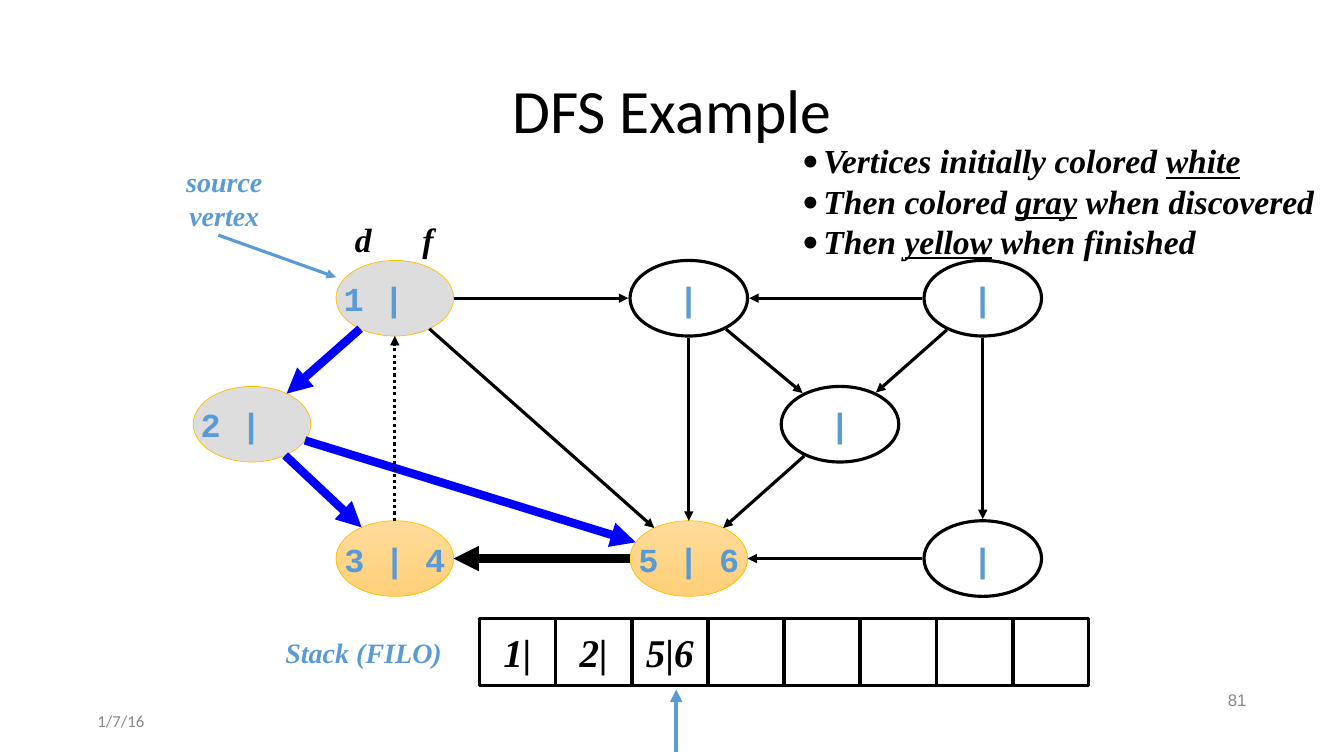
from dataclasses import dataclass
from math import hypot

from lxml.etree import SubElement
from pptx import Presentation
from pptx.dml.color import RGBColor
from pptx.enum.dml import MSO_LINE
from pptx.enum.shapes import MSO_CONNECTOR, MSO_SHAPE
from pptx.enum.text import MSO_ANCHOR, MSO_AUTO_SIZE, PP_ALIGN
from pptx.oxml.ns import qn
from pptx.util import Inches, Pt

COLORS = {
    "black": "000000", "accent": "5B9BD5", "tree": "0000FF", "muted": "888888",
    "gray": "DDDDDD", "gold": "FFC000", "top": "FFDB9B", "bottom": "FFD078",
}
SERIF, MONO, SANS = "Times New Roman", "Courier New", "Calibri"

# Grid of 160 columns by 90 rows, twelve to the inch
COLS, ROWS = 160, 90
CELL = Inches(1) / 12
VERTEX_W, VERTEX_H = 14, 9


def grid(*units: float) -> list[int]:
    return [round(u * CELL) for u in units]


def rgb(name: str) -> RGBColor:
    return RGBColor.from_string(COLORS[name])


@dataclass
class Vertex:
    col: float
    row: float
    times: str = "|"
    state: str = "white"

    @property
    def center(self) -> tuple[float, float]:
        return self.col + VERTEX_W / 2, self.row + VERTEX_H / 2


@dataclass
class Edge:
    start: str
    end: str
    color: str = "black"
    width: float = 2.25
    dotted: bool = False


@dataclass
class Label:
    text: str
    box: tuple[float, float, float, float]
    size: float
    color: str
    font: str = SERIF
    bold: bool = True
    align: PP_ALIGN = PP_ALIGN.CENTER
    anchor: MSO_ANCHOR = MSO_ANCHOR.MIDDLE


VERTICES = {
    "source": Vertex(40, 31, "1 |", "gray"),
    "top": Vertex(75, 31),
    "top right": Vertex(110, 31),
    "left": Vertex(23, 46, "2 |", "gray"),
    "middle": Vertex(93, 46),
    "bottom left": Vertex(40, 62, "3 | 4", "yellow"),
    "bottom": Vertex(75, 62, "5 | 6", "yellow"),
    "bottom right": Vertex(110, 62),
}
EDGES = [
    Edge("source", "left", "tree", 6),
    Edge("left", "bottom left", "tree", 6),
    Edge("left", "bottom", "tree", 6),
    Edge("bottom", "bottom left", width=6),
    Edge("bottom left", "source", dotted=True),
    Edge("source", "bottom"),
    Edge("top", "bottom"),
    Edge("source", "top"),
    Edge("top right", "top"),
    Edge("top", "middle"),
    Edge("top right", "middle"),
    Edge("top right", "bottom right"),
    Edge("bottom right", "bottom"),
    Edge("middle", "bottom"),
]
LABELS = [
    Label("source\nvertex", (21.5, 19, 10.4, 8.8), 20, "accent", anchor=MSO_ANCHOR.TOP),
    Label("d\tf", (41.64, 25.7, 12, 5.5), 24, "black", align=PP_ALIGN.LEFT),
    Label("Stack (FILO)", (33.1, 75.1, 20.4, 4.9), 20, "accent", anchor=MSO_ANCHOR.TOP),
    Label("81", (113, 81.6, 36, 3.5), 12, "muted", "Arial", False, PP_ALIGN.RIGHT),
    Label("1/7/16", (11, 84, 36, 3.5), 12, "muted", SANS, False, PP_ALIGN.LEFT),
]
STACK = ["1|", "2|", "5|6", "", "", "", "", ""]
STACK_COL, STACK_ROW, STACK_STEP = 57.1, 73.6, 9.07
BULLETS = [
    ("Vertices initially colored ", "white", ""),
    ("Then colored ", "gray", " when discovered"),
    ("Then ", "yellow", " when finished"),
]


def style_frame(tf, anchor: MSO_ANCHOR = MSO_ANCHOR.MIDDLE, wrap: bool = True) -> None:
    tf.word_wrap, tf.auto_size, tf.vertical_anchor = wrap, MSO_AUTO_SIZE.NONE, anchor
    tf.margin_left = tf.margin_right = tf.margin_top = tf.margin_bottom = Inches(0.05)


def style_runs(p, size: float, color: str, font: str, bold: bool, italic: bool) -> None:
    for r in p.runs:
        r.font.size, r.font.name = Pt(size), font
        r.font.bold, r.font.italic = bold, italic
        r.font.color.rgb = rgb(color)


def write(shape, label: Label) -> None:
    style_frame(shape.text_frame, label.anchor)
    p = shape.text_frame.paragraphs[0]
    p.text, p.alignment = label.text.replace("\n", "\v"), label.align
    style_runs(p, label.size, label.color, label.font, label.bold, label.bold and label.font == SERIF)
    if "\t" in label.text:
        tabs = SubElement(p._p.get_or_add_pPr(), qn("a:tabLst"))
        SubElement(tabs, qn("a:tab"), pos=str(Inches(0.67)), algn="l")


def add_label(shapes, label: Label) -> None:
    write(shapes.add_textbox(*grid(*label.box)), label)


def add_arrow(shapes, start: tuple, end: tuple, color: str, width: float, dotted: bool = False) -> None:
    c = shapes.add_connector(MSO_CONNECTOR.STRAIGHT, *grid(*start, *end))
    c.line.color.rgb, c.line.width = rgb(color), Pt(width)
    if dotted:
        c.line.dash_style = MSO_LINE.ROUND_DOT
    SubElement(c.line._get_or_add_ln(), qn("a:tailEnd"), type="triangle")
    SubElement(c._element.spPr, qn("a:effectLst"))


def add_vertex(shapes, v: Vertex) -> None:
    group = shapes.add_group_shape().shapes
    oval = group.add_shape(MSO_SHAPE.OVAL, *grid(v.col, v.row, VERTEX_W, VERTEX_H))
    oval.shadow.inherit = False
    if v.state == "white":
        oval.fill.background()
    elif v.state == "gray":
        oval.fill.solid()
        oval.fill.fore_color.rgb = rgb("gray")
    else:
        oval.fill.gradient()
        oval.fill.gradient_angle = 270
        for stop, color in zip(oval.fill.gradient_stops, ("top", "bottom")):
            stop.color.rgb = rgb(color)
    oval.line.color.rgb = rgb("black" if v.state == "white" else "gold")
    oval.line.width = Pt(2.25 if v.state == "white" else 0.5)
    align = PP_ALIGN.LEFT if v.state == "gray" else PP_ALIGN.CENTER
    box = (v.col + 0.3, v.row + 1.6, VERTEX_W - 0.6, 5.8)
    add_label(group, Label(v.times, box, 24, "accent", MONO, align=align))


def rim_point(v: Vertex, other: Vertex) -> tuple[float, float]:
    """Point where the line to the other centre leaves the ellipse."""
    (x, y), (ox, oy) = v.center, other.center
    gap = 0.2 if v.state == "white" else 0
    t = 1 / hypot((ox - x) / (VERTEX_W / 2 + gap), (oy - y) / (VERTEX_H / 2 + gap))
    return x + t * (ox - x), y + t * (oy - y)


def place(shape, *box: float) -> None:
    shape.left, shape.top, shape.width, shape.height = grid(*box)


def main() -> None:
    prs = Presentation()
    prs.slide_width, prs.slide_height = grid(COLS, ROWS)
    s = prs.slides.add_slide(prs.slide_layouts[1])

    # Title
    title, body = s.shapes.title, s.placeholders[1]
    place(title, 11, 4.8, 138, 17.4)
    write(title, Label("DFS Example", (), 44, "black", SANS, False))
    title.text_frame.paragraphs[0].line_spacing = 0.9

    # Graph
    for v in VERTICES.values():
        add_vertex(s.shapes, v)
    for e in EDGES:
        a, b = VERTICES[e.start], VERTICES[e.end]
        add_arrow(s.shapes, rim_point(a, b), rim_point(b, a), e.color, e.width, e.dotted)

    # Labels and pointers to the source and the top of the stack
    for label in LABELS:
        add_label(s.shapes, label)
    add_arrow(s.shapes, (26, 28), (40, 33), "accent", 2.25)
    add_arrow(s.shapes, (80.5, 89.5), (80.5, 82.1), "accent", 3)

    # Stack
    for i, entry in enumerate(STACK):
        box = (STACK_COL + i * STACK_STEP, STACK_ROW, 9, 8)
        cell = s.shapes.add_shape(MSO_SHAPE.RECTANGLE, *grid(*box))
        cell.shadow.inherit = False
        cell.fill.background()
        cell.line.color.rgb, cell.line.width = rgb("black"), Pt(2.25)
        write(cell, Label(entry, box, 28, "black"))

    # Colour rules
    place(body, 94.9, 16.1, 63.4, 14.5)
    tf = body.text_frame
    style_frame(tf, MSO_ANCHOR.TOP, wrap=False)
    for i, parts in enumerate(BULLETS):
        p = tf.add_paragraph() if i else tf.paragraphs[0]
        for part in filter(None, parts):
            r = p.add_run()
            r.text, r.font.underline = part, part == parts[1]
        style_runs(p, 24, "black", SERIF, True, True)
        p.space_before = Pt(0)
        pPr = p._p.get_or_add_pPr()
        pPr.set("marL", str(Inches(0.21)))
        pPr.set("indent", str(-Inches(0.21)))
        SubElement(pPr, qn("a:buFont"), typeface=SANS)
        SubElement(pPr, qn("a:buChar"), char="•")

    prs.save("out.pptx")


if __name__ == "__main__":
    main()
